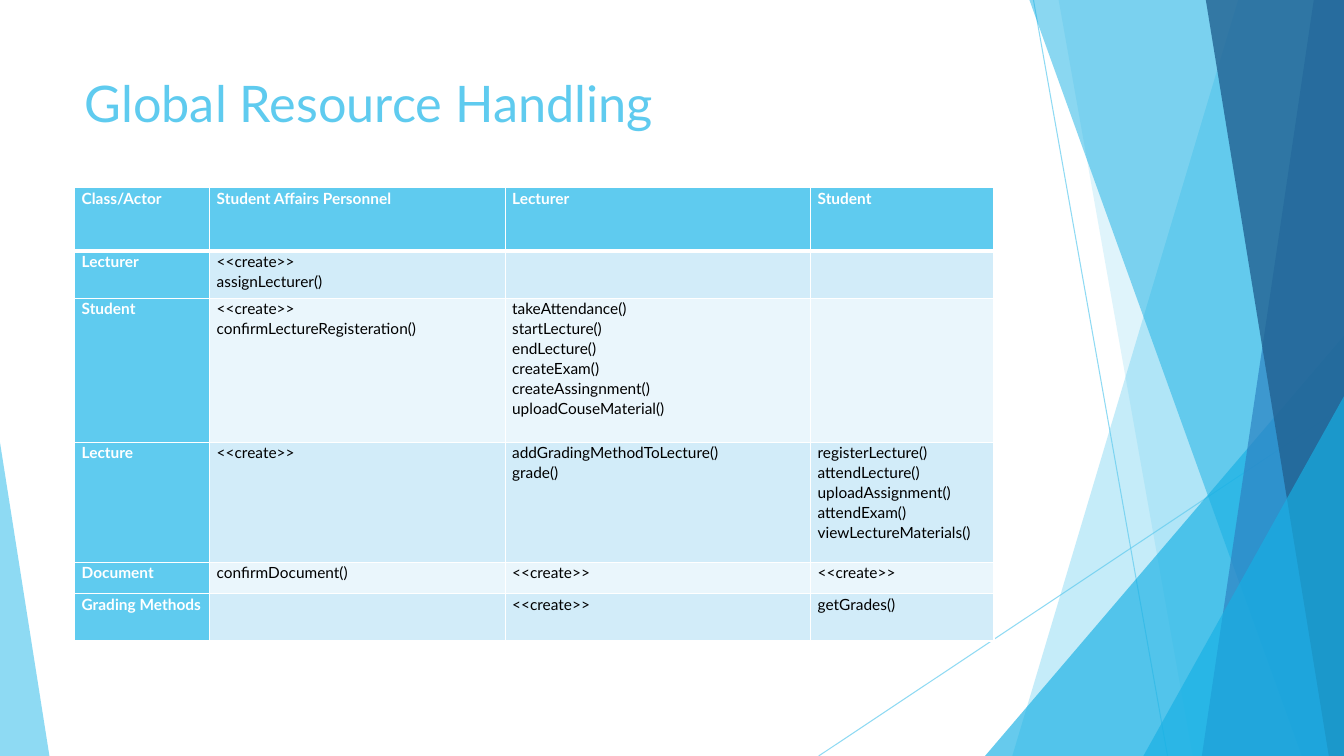
from dataclasses import dataclass
from lxml.etree import SubElement
from pptx import Presentation
from pptx.dml.color import RGBColor
from pptx.enum.shapes import MSO_CONNECTOR, MSO_SHAPE
from pptx.enum.text import MSO_ANCHOR, PP_ALIGN
from pptx.oxml.ns import qn
from pptx.util import Inches, Pt


@dataclass(frozen=True)
class Theme:
    font: str = "Lato"
    sky: str = "5FCBEF"
    cyan: str = "17B0E4"
    blue: str = "2E83C3"
    navy: str = "226292"
    bands: tuple = ("D2ECF9", "EAF6FC")
    white: str = "FFFFFF"
    black: str = "000000"
    head: int = 36
    body: int = 11


THEME = Theme()
WIDE, HIGH = 13.33, 7.5
MAKE = "<<create>>"

COLS = [1.34, 2.93, 3.03, 1.82]
TALL = [0.63, 0.47, 1.43, 1.19, 0.31, 0.47]
ROWS = [
    ["Class/Actor", "Student Affairs Personnel", "Lecturer", "Student"],
    ["Lecturer", f"{MAKE}\nassignLecturer()", "", ""],
    ["Student", f"{MAKE}\nconfirmLectureRegisteration()",
     "takeAttendance()\nstartLecture()\nendLecture()\ncreateExam()\n"
     "createAssingnment()\nuploadCouseMaterial()", ""],
    ["Lecture", MAKE, "addGradingMethodToLecture()\ngrade()",
     "registerLecture()\nattendLecture()\nuploadAssignment()\n"
     "attendExam()\nviewLectureMaterials()"],
    ["Document", "confirmDocument()", MAKE, MAKE],
    ["Grading Methods", "", MAKE, "getGrades()"],
]


def apply(item, style):
    for name, value in style.items():
        setattr(item, name, value)


def ink(font, color, size, bold=False):
    apply(font, {"name": THEME.font, "size": Pt(size), "bold": bold})
    font.color.rgb = RGBColor.from_string(color)


def fade(part, alpha):
    tone = next(part.iter(qn("a:srgbClr")))
    SubElement(tone, qn("a:alpha"), val=str(alpha * 1000))


def paint(shape, color, alpha):
    shape.shadow.inherit = False
    shape.fill.solid()
    shape.fill.fore_color.rgb = RGBColor.from_string(color)
    shape.line.fill.background()
    fade(shape._element.spPr, alpha)


def ray(slide, start, end):
    line = slide.shapes.add_connector(
        MSO_CONNECTOR.STRAIGHT, *map(Inches, start + end))
    line.line.width = Pt(0.75)
    line.line.color.rgb = RGBColor.from_string(THEME.sky)
    fade(line._element.spPr, 70)
    SubElement(line._element.spPr, qn("a:effectLst"))


def shard(slide, top, foot, color, alpha):
    """Fill from a slanted left edge to the right side of the slide."""
    form = slide.shapes.build_freeform(Inches(top), 0)
    edge = [(WIDE, 0), (WIDE, HIGH), (foot, HIGH)]
    form.add_line_segments([(Inches(x), Inches(y)) for x, y in edge])
    paint(form.convert_to_shape(), color, alpha)


def wedge(slide, left, top, width, tip, color, alpha):
    """Stand a triangle on the foot of the slide."""
    shape = slide.shapes.add_shape(
        MSO_SHAPE.ISOSCELES_TRIANGLE,
        *map(Inches, (left, top, width, HIGH - top)))
    shape.adjustments[0] = tip
    paint(shape, color, alpha)


def decor(slide):
    # Thin rays
    ray(slide, (10.25, 0), (11.58, HIGH))
    ray(slide, (WIDE, 4.03), (8.12, HIGH))
    # Layered shards and wedges, back to front
    shard(slide, 12.28, 10.04, THEME.sky, 36)
    shard(slide, 10.5, 11.83, THEME.sky, 20)
    wedge(slide, 9.77, 3.33, 3.56, 1, THEME.cyan, 66)
    shard(slide, 10.21, 12.91, THEME.cyan, 50)
    shard(slide, 13.03, 11.92, THEME.blue, 70)
    shard(slide, 11.96, 13.18, THEME.navy, 80)
    wedge(slide, 11.34, 3.93, 1.99, 1, THEME.cyan, 66)
    wedge(slide, 0, 4.39, 0.49, 0, THEME.sky, 70)


def title(slide, text, left, top, width, height):
    shape = slide.shapes.title
    apply(shape, {"left": Inches(left), "top": Inches(top),
                  "width": Inches(width), "height": Inches(height)})
    frame = shape.text_frame
    apply(frame, {"text": text, "word_wrap": True,
                  "vertical_anchor": MSO_ANCHOR.TOP})
    para = frame.paragraphs[0]
    para.alignment = PP_ALIGN.LEFT
    ink(para.runs[0].font, THEME.sky, THEME.head)


def rule(cell, side, width):
    line = SubElement(cell._tc.get_or_add_tcPr(), qn(f"a:ln{side}"),
                      w=str(Pt(width)))
    fill = SubElement(line, qn("a:solidFill"))
    SubElement(fill, qn("a:srgbClr"), val=THEME.white)


def fill_cell(cell, text, row, col):
    label = row == 0 or col == 0
    apply(cell, {"margin_left": Inches(0.07), "margin_right": Inches(0.07),
                 "margin_top": 0, "margin_bottom": 0,
                 "vertical_anchor": MSO_ANCHOR.TOP})
    # Borders: a heavy one parts the header from the body
    heavy = {0: "B", 1: "T"}.get(row)
    for side in "LRTB":
        rule(cell, side, 3 if side == heavy else 1)
    cell.fill.solid()
    tone = THEME.sky if label else THEME.bands[(row - 1) % 2]
    cell.fill.fore_color.rgb = RGBColor.from_string(tone)
    # Text, one paragraph a line
    cell.text = text
    for para in cell.text_frame.paragraphs:
        para.line_spacing = 1.07
        for run in para.runs:
            ink(run.font, THEME.white if label else THEME.black,
                THEME.body, label)


def grid(slide, left, top):
    table = slide.shapes.add_table(
        len(ROWS), len(COLS), Inches(left), Inches(top),
        Inches(sum(COLS)), Inches(sum(TALL))).table
    table.first_col = True
    for col, width in zip(table.columns, COLS):
        col.width = Inches(width)
    for row, height in zip(table.rows, TALL):
        row.height = Inches(height)
    for r, texts in enumerate(ROWS):
        for c, text in enumerate(texts):
            fill_cell(table.cell(r, c), text, r, c)


def main():
    deck = Presentation()
    apply(deck, {"slide_width": Inches(WIDE), "slide_height": Inches(HIGH)})
    slide = deck.slides.add_slide(deck.slide_layouts[5])
    decor(slide)
    title(slide, "Global Resource Handling", 0.74, 0.67, 9.4, 1.44)
    grid(slide, 0.74, 1.86)
    deck.save("out.pptx")


if __name__ == "__main__":
    main()
